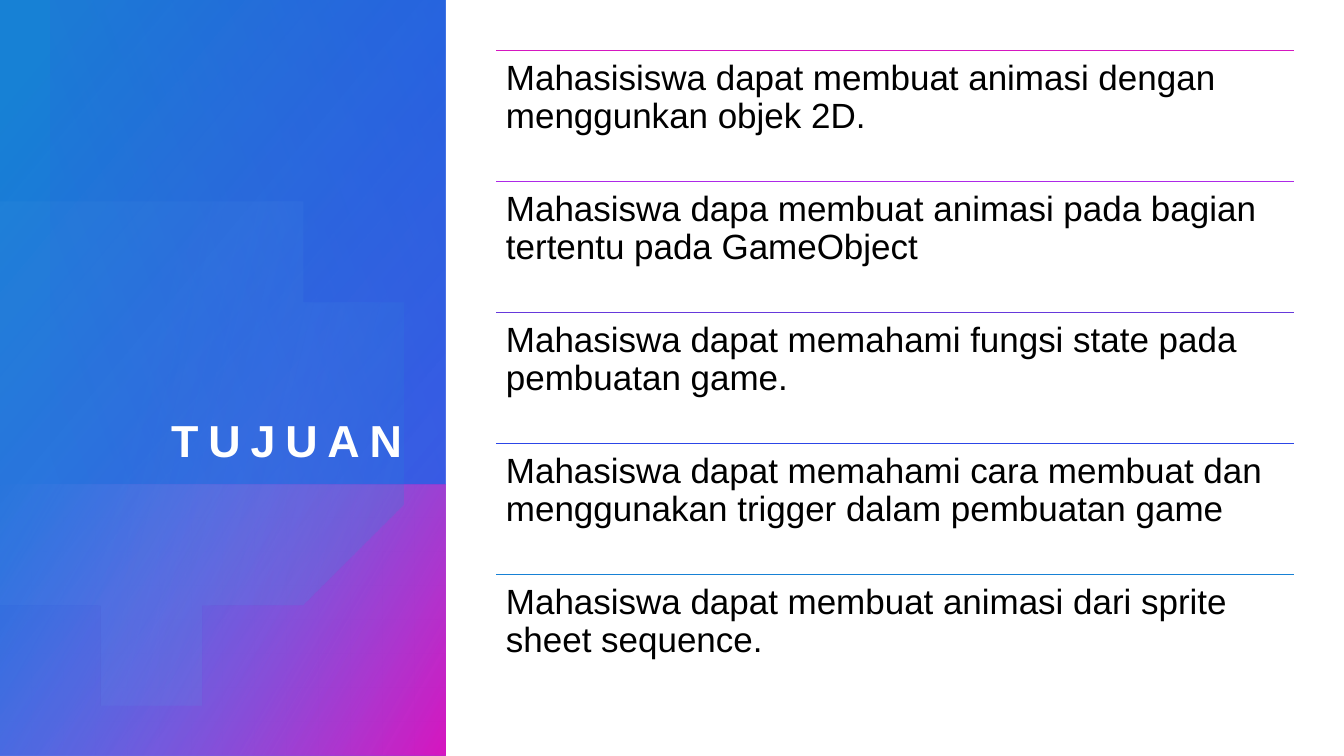
import math
from dataclasses import dataclass

from pptx import Presentation
from pptx import util as u
from pptx.dml.color import RGBColor
from pptx.enum import shapes, text
from pptx.oxml.ns import qn
from pptx.oxml.xmlchemy import OxmlElement


@dataclass(frozen=True)
class Theme:
    font: str = "Arial"
    title_size: int = 32
    goal_size: int = 25
    title_spacing: int = 7
    white: str = "FFFFFF"
    black: str = "000000"
    blue: str = "1781D5"
    royal: str = "2C46E7"
    violet: str = "6639DB"
    purple: str = "AD29E7"
    pink: str = "D517C0"
    lavender: str = "8090F1"
    sky: str = "6BB4EF"


THEME = Theme()
WIDTH, HEIGHT = 13.33, 7.5
MARGIN = 0.5
PANEL_WIDTH = 4.42

GOALS = [
    ("Mahasisiswa dapat membuat animasi dengan menggunkan objek 2D.", THEME.pink),
    ("Mahasiswa dapa membuat animasi pada bagian tertentu pada GameObject", THEME.purple),
    ("Mahasiswa dapat memahami fungsi state pada pembuatan game.", THEME.violet),
    ("Mahasiswa dapat memahami cara membuat dan menggunakan trigger dalam pembuatan game",
     THEME.royal),
    ("Mahasiswa dapat membuat animasi dari sprite sheet sequence.", THEME.blue),
]


def inches(*lengths):
    return [u.Inches(length) for length in lengths]


def paint_gradient(shape, stops, angle):
    """Fill with (position %, colour, opacity %) stops; angle runs clockwise."""
    shape.shadow.inherit = False
    shape.line.fill.background()
    shape.fill.gradient()
    shape.fill.gradient_angle = (360 - angle) % 360
    for stop, (position, colour, _) in zip(shape.fill.gradient_stops, stops):
        stop.position = position / 100
        stop.color.rgb = RGBColor.from_string(colour)
    colours = shape._element.spPr.iter(qn("a:srgbClr"))
    for colour, (_, _, opacity) in zip(list(colours), stops):
        alpha = OxmlElement("a:alpha")
        alpha.set("val", str(opacity * 1000))
        colour.append(alpha)


def add_band(page, box, stops, angle):
    band = page.shapes.add_shape(shapes.MSO_SHAPE.RECTANGLE, *inches(*box))
    paint_gradient(band, stops, angle)


def add_cut_circle(page, left, centre_x, centre_y, radius):
    """Circle cut off straight at the left edge of its panel."""
    reach = math.acos((left - centre_x) / radius)
    steps = 120
    points = []
    for step in range(steps + 1):
        turn = reach * (2 * step / steps - 1)
        points.append((centre_x + radius * math.cos(turn),
                       centre_y + radius * math.sin(turn)))
    builder = page.shapes.build_freeform(*points[0], scale=u.Inches(1))
    builder.add_line_segments(points[1:], close=True)
    paint_gradient(builder.convert_to_shape(),
                   [(36, THEME.sky, 6), (100, THEME.blue, 26)], 14)


def add_title_panel(page, box):
    left, top, width, height = box
    # Blue base and pink foot
    add_band(page, box, [(8, THEME.blue, 100), (100, THEME.royal, 89)], 40)
    foot = 2.69
    add_band(page, (left, top + height - foot, width, foot),
             [(0, THEME.lavender, 0), (99, THEME.pink, 100)], 30)
    # Translucent circle and upper veil
    add_cut_circle(page, left, left + 1.58, top + 4.25, 2.29)
    add_band(page, (left + MARGIN, top, width - MARGIN, height - foot),
             [(0, THEME.royal, 29), (100, THEME.violet, 0)], 160)
    # Title, brought in front of the panel
    title = page.shapes.title
    title.left, title.top, title.width, title.height = inches(
        left + MARGIN, top + 0.95, 3.71, 3.68)
    title._element.getparent().append(title._element)
    frame = title.text_frame
    frame.margin_left = frame.margin_right = frame.margin_top = frame.margin_bottom = 0
    frame.vertical_anchor = text.MSO_ANCHOR.BOTTOM
    frame.auto_size = text.MSO_AUTO_SIZE.NONE
    para = frame.paragraphs[0]
    para.alignment = text.PP_ALIGN.RIGHT
    span = para.add_run()
    span.text = "TUJUAN "
    span.font.name, span.font.size, span.font.bold = THEME.font, u.Pt(THEME.title_size), True
    span.font.color.rgb = RGBColor.from_string(THEME.white)
    span.font._element.set("spc", str(THEME.title_spacing * 100))


def add_goal(page, box, wording, colour):
    left, top, width, _ = box
    # Rule above the goal
    rule = page.shapes.add_connector(
        shapes.MSO_CONNECTOR.STRAIGHT, *inches(left, top, left + width, top))
    rule.line.color.rgb = RGBColor.from_string(colour)
    rule.line.width = u.Pt(1)
    rule._element.spPr.append(OxmlElement("a:effectLst"))
    # Wording
    frame = page.shapes.add_textbox(*inches(*box)).text_frame
    frame.word_wrap = True
    frame.margin_left = frame.margin_right = u.Inches(0.1)
    frame.margin_top = frame.margin_bottom = u.Inches(0.1)
    para = frame.paragraphs[0]
    para.text = wording
    para.line_spacing = 0.9
    para.font.name, para.font.size = THEME.font, u.Pt(THEME.goal_size)
    para.font.color.rgb = RGBColor.from_string(THEME.black)


def add_goal_list(page, box):
    left, top, width, height = box
    row = height / len(GOALS)
    for index, (wording, colour) in enumerate(GOALS):
        add_goal(page, (left, top + index * row, width, row), wording, colour)


def main():
    deck = Presentation()
    deck.slide_width, deck.slide_height = inches(WIDTH, HEIGHT)
    page = deck.slides.add_slide(deck.slide_layouts[5])
    add_title_panel(page, (0, 0, PANEL_WIDTH, HEIGHT))
    list_left = PANEL_WIDTH + MARGIN
    add_goal_list(page, (list_left, MARGIN, WIDTH - MARGIN - list_left, HEIGHT - 2 * MARGIN))
    deck.save("out.pptx")


if __name__ == "__main__":
    main()
